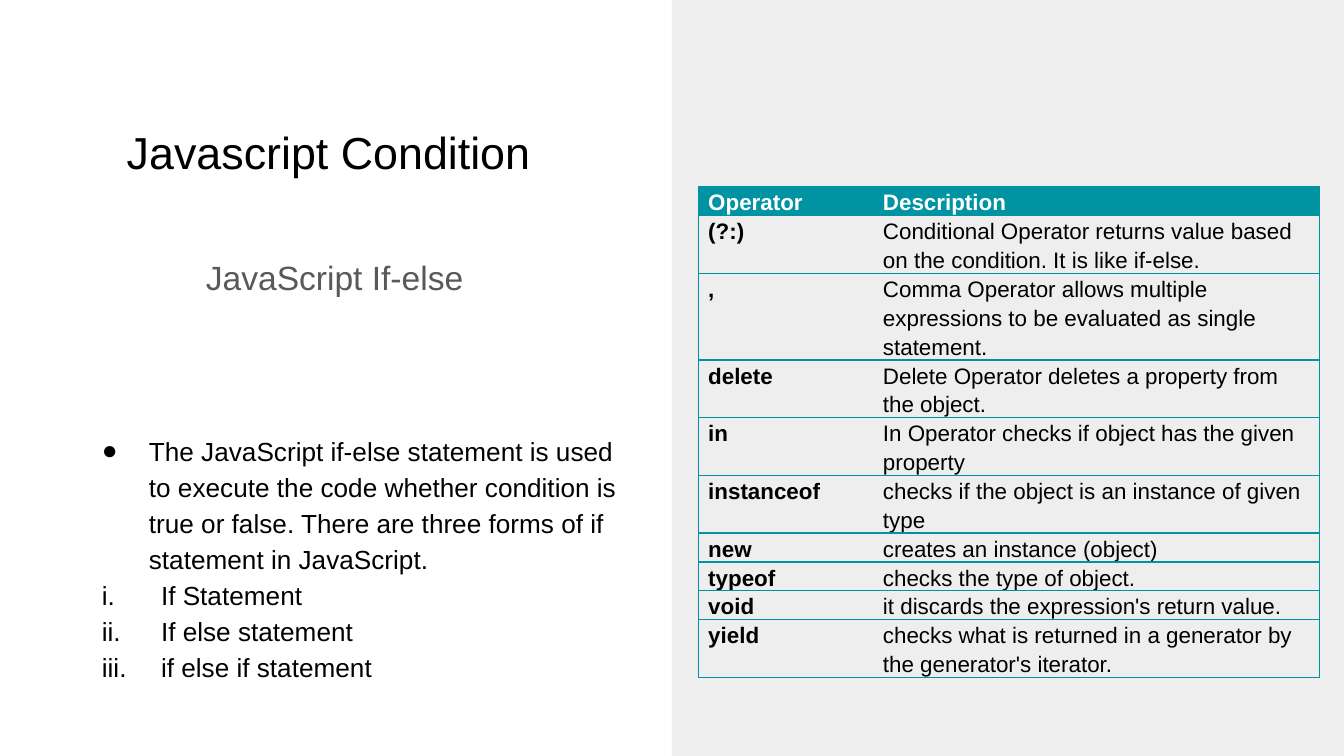
from lxml.etree import SubElement
from pptx import Presentation
from pptx.dml.color import RGBColor
from pptx.enum.shapes import MSO_SHAPE
from pptx.enum.text import MSO_ANCHOR, MSO_AUTO_SIZE, PP_ALIGN
from pptx.oxml.ns import qn
from pptx.util import Inches, Pt

WHITE = RGBColor(0xFF, 0xFF, 0xFF)
BLACK = RGBColor(0, 0, 0)
GREY = RGBColor(0x59, 0x59, 0x59)
PANEL = RGBColor(0xEE, 0xEE, 0xEE)
TEAL = RGBColor(0x00, 0x94, 0xA3)

EXPLANATION = (
    "The JavaScript if-else statement is used to execute the code whether "
    "condition is true or false. There are three forms of if statement in JavaScript."
)
IF_FORMS = ["If Statement", "If else statement", "if else if statement"]

# operator, description, lines the description takes
OPERATORS = [
    ("Operator", "Description", 1),
    ("(?:)", "Conditional Operator returns value based on the condition. It is like if-else.", 2),
    (",", "Comma Operator allows multiple expressions to be evaluated as single statement.", 3),
    ("delete", "Delete Operator deletes a property from the object.", 2),
    ("in", "In Operator checks if object has the given property", 2),
    ("instanceof", "checks if the object is an instance of given type", 2),
    ("new", "creates an instance (object)", 1),
    ("typeof", "checks the type of object.", 1),
    ("void", "it discards the expression's return value.", 1),
    ("yield", "checks what is returned in a generator by the generator's iterator.", 2),
]


class SlideBuilder:
    """Places elements by percentages of the slide's width and height."""

    font_name = "Arial"
    line_spacing = 1.15
    table_line = Pt(15.45)

    def __init__(self, deck):
        self.width, self.height = deck.slide_width, deck.slide_height
        self.slide = deck.slides.add_slide(deck.slide_layouts[5])
        self.shapes = self.slide.shapes

    def across(self, percent):
        return round(percent * self.width / 100)

    def down(self, percent):
        return round(percent * self.height / 100)

    def area(self, left, top, width, height):
        return self.across(left), self.down(top), self.across(width), self.down(height)

    def style(self, paragraph, size, color, bold=False):
        font = paragraph.font
        font.name, font.size, font.bold = self.font_name, Pt(size), bold
        font.color.rgb = color

    def frame(self, holder):
        frame = holder.text_frame
        frame.word_wrap = True
        frame.auto_size = MSO_AUTO_SIZE.NONE
        frame.vertical_anchor = MSO_ANCHOR.MIDDLE
        frame.margin_left = frame.margin_right = Inches(0.1)
        frame.margin_top = frame.margin_bottom = Inches(0.1)
        return frame

    def panel(self, *share):
        panel = self.shapes.add_shape(MSO_SHAPE.RECTANGLE, *self.area(*share))
        panel.shadow.inherit = False
        panel.fill.solid()
        panel.fill.fore_color.rgb = PANEL
        panel.line.fill.background()

    def heading(self, holder, text, size, color):
        paragraph = self.frame(holder).paragraphs[0]
        paragraph.text = text
        paragraph.alignment = PP_ALIGN.CENTER
        self.style(paragraph, size, color)

    def title(self, text, *share):
        title = self.shapes.title
        title.left, title.top, title.width, title.height = self.area(*share)
        self.heading(title, text, 24, BLACK)

    def subtitle(self, text, *share):
        self.heading(self.shapes.add_textbox(*self.area(*share)), text, 18, GREY)

    def list_item(self, paragraph, text, indent, hanging, marker, **marker_values):
        paragraph.text = text
        paragraph.line_spacing = self.line_spacing
        properties = paragraph._p.get_or_add_pPr()
        properties.set("marL", str(Inches(indent)))
        properties.set("indent", str(-Inches(hanging)))
        bullet_color = SubElement(properties, qn("a:buClr"))
        SubElement(bullet_color, qn("a:srgbClr"), val=str(BLACK))
        SubElement(properties, qn("a:buFont"), typeface=self.font_name)
        SubElement(properties, qn(marker), **marker_values)
        self.style(paragraph, 14, BLACK)

    def body(self, explanation, forms, *share):
        frame = self.frame(self.shapes.add_textbox(*self.area(*share)))
        self.list_item(frame.paragraphs[0], explanation, 0.5, 0.35, "a:buChar", char="●")
        for form in forms:
            self.list_item(frame.add_paragraph(), form, 0.59, 0.44,
                           "a:buAutoNum", type="romanLcPeriod")

    def borders(self, cell, open_side):
        """Draw every side of the cell except the one towards its neighbour."""
        properties = cell._tc.get_or_add_tcPr()
        for side in ("lnL", "lnR", "lnT", "lnB"):
            line = SubElement(properties, qn(f"a:{side}"), w=str(Pt(0.75)))
            if side == open_side:
                SubElement(line, qn("a:noFill"))
            else:
                fill = SubElement(line, qn("a:solidFill"))
                SubElement(fill, qn("a:srgbClr"), val=str(TEAL))

    def cell(self, cell, text, is_header, bold, open_side):
        cell.margin_left = cell.margin_right = Inches(0.07)
        cell.margin_top = cell.margin_bottom = 0
        self.borders(cell, open_side)
        if is_header:
            cell.fill.solid()
            cell.fill.fore_color.rgb = TEAL
        else:
            cell.fill.background()
        paragraph = cell.text_frame.paragraphs[0]
        paragraph.text = text
        paragraph.line_spacing = self.line_spacing
        self.style(paragraph, 12, WHITE if is_header else BLACK, bold)

    def operator_table(self, rows, left, top, column_shares):
        height = self.table_line * sum(lines for *_, lines in rows)
        table = self.shapes.add_table(
            len(rows), len(column_shares), self.across(left), self.down(top),
            self.across(sum(column_shares)), height).table
        table.horz_banding = False
        for column, share in zip(table.columns, column_shares):
            column.width = self.across(share)
        for index, (operator, description, lines) in enumerate(rows):
            is_header = index == 0
            table.rows[index].height = self.table_line * lines
            name_cell, description_cell = table.rows[index].cells
            self.cell(name_cell, operator, is_header, True, "lnR")
            self.cell(description_cell, description, is_header, is_header, "lnL")


def main():
    deck = Presentation()
    deck.slide_width = Inches(10)
    deck.slide_height = deck.slide_width * 9 // 16
    builder = SlideBuilder(deck)
    builder.panel(50, 0, 50, 100)
    builder.title("Javascript Condition ", 2.8, 13.8, 44.2, 12.45)
    builder.subtitle("JavaScript If-else", 2.8, 30.4, 44.2, 12.45)
    builder.body(EXPLANATION, IF_FORMS, 5.1, 56.53, 42, 34.13)
    builder.operator_table(OPERATORS, 52, 24.7, (13, 33.2))
    deck.save("out.pptx")


if __name__ == "__main__":
    main()
